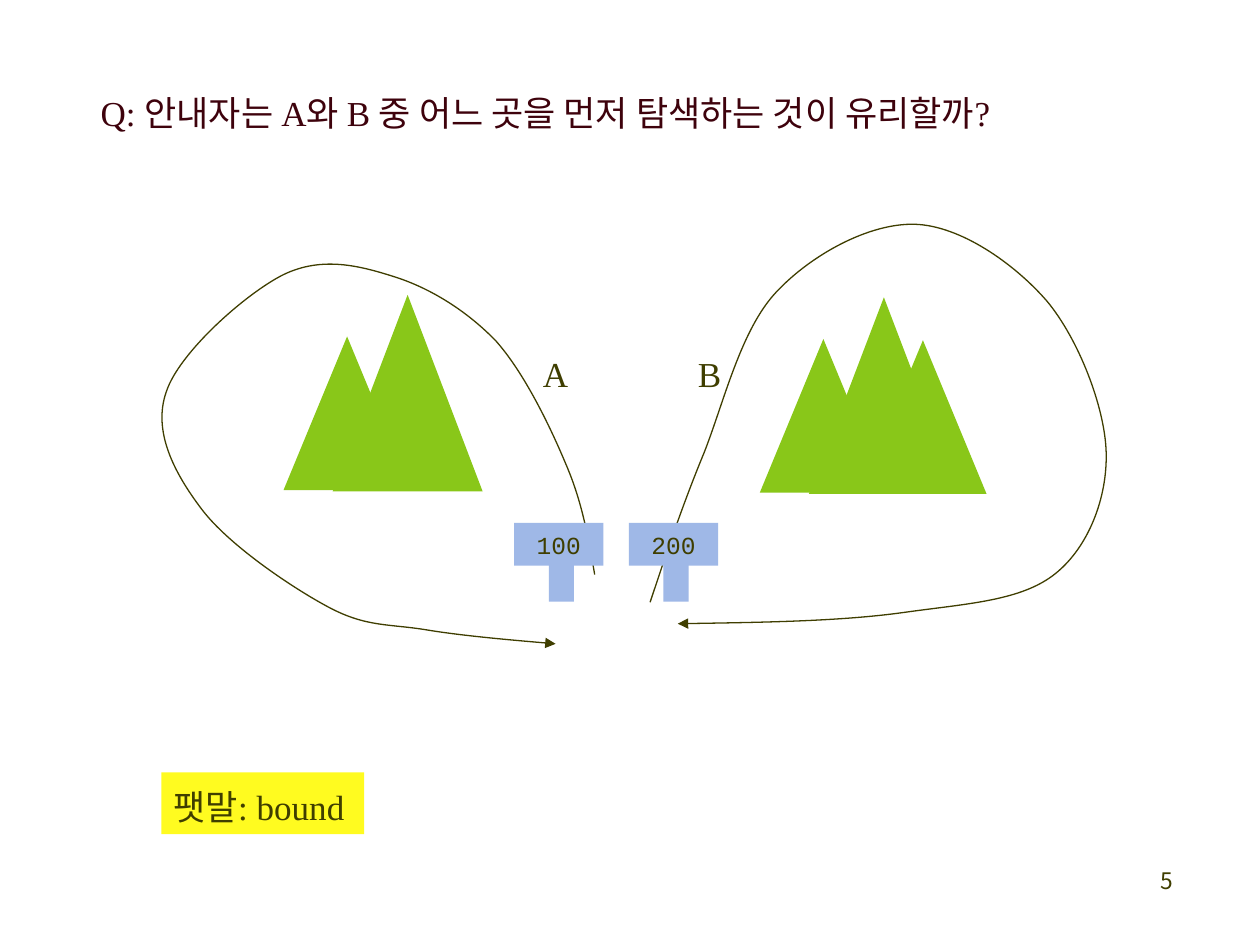
from lxml.etree import SubElement
from pptx import Presentation
from pptx.dml.color import RGBColor
from pptx.enum.shapes import MSO_SHAPE as SHAPE
from pptx.enum.text import MSO_ANCHOR as ANCHOR, PP_ALIGN as ALIGN
from pptx.oxml.ns import qn
from pptx.util import Inches, Pt

OLIVE = RGBColor(0x3F, 0x3E, 0x00)
MAROON = RGBColor(0x3E, 0x02, 0x0C)
GREEN = RGBColor(0x89, 0xC7, 0x19)
BLUE = RGBColor(0x9F, 0xB8, 0xE7)
YELLOW = RGBColor(0xFF, 0xFB, 0x20)

BODY = {"name": "Times New Roman", "size": Pt(20)}
SIGN = {"name": "Courier New", "size": Pt(14)}
NUMBER = {"name": "Noto Sans CJK KR", "size": Pt(13)}
EAST_ASIAN = "Noto Sans CJK KR"

TRAIL_A = [
    (4.72, 4.56),
    (4.67, 4.27), (4.62, 3.98), (4.49, 3.68),
    (4.36, 3.37), (4.16, 2.96), (3.94, 2.71),
    (3.71, 2.47), (3.42, 2.29), (3.14, 2.2),
    (2.86, 2.11), (2.56, 2.03), (2.25, 2.18),
    (1.95, 2.33), (1.42, 2.8), (1.32, 3.11),
    (1.21, 3.42), (1.38, 3.75), (1.6, 4.04),
    (1.81, 4.32), (2.31, 4.66), (2.61, 4.82),
    (2.91, 4.98), (3.09, 4.95), (3.39, 5),
    (3.69, 5.05), (4.41, 5.11), (4.41, 5.11),
]
TRAIL_B = [
    (5.16, 4.78),
    (5.29, 4.39), (5.42, 4), (5.59, 3.59),
    (5.75, 3.18), (5.88, 2.62), (6.16, 2.32),
    (6.44, 2.02), (6.9, 1.77), (7.26, 1.78),
    (7.62, 1.79), (8.05, 2.09), (8.31, 2.39),
    (8.56, 2.69), (8.77, 3.23), (8.78, 3.59),
    (8.79, 3.95), (8.64, 4.34), (8.38, 4.55),
    (8.11, 4.77), (7.68, 4.79), (7.18, 4.86),
    (6.68, 4.93), (6.03, 4.94), (5.38, 4.95),
]


class Deck:
    def __init__(self, width, height):
        self.prs = Presentation()
        self.prs.slide_width = Inches(width)
        self.prs.slide_height = Inches(height)
        self.s = self.prs.slides.add_slide(self.prs.slide_layouts[6])

    def label(self, sp, text, font, color=OLIVE, wrap=True, anchor=ANCHOR.TOP, **fmt):
        tf = sp.text_frame
        tf.word_wrap = wrap
        tf.vertical_anchor = anchor
        p = tf.paragraphs[0]
        for key, value in {"alignment": ALIGN.LEFT, **fmt}.items():
            setattr(p, key, value)
        r = p.add_run()
        r.text = text
        for key, value in font.items():
            setattr(r.font, key, value)
        r.font.color.rgb = color
        SubElement(r._r.get_or_add_rPr(), qn("a:ea")).set("typeface", EAST_ASIAN)

    def text(self, box, text, font, **fmt):
        sp = self.s.shapes.add_textbox(*map(Inches, box))
        self.label(sp, text, font, **fmt)

    def shape(self, kind, box, color, parent=None):
        shapes = (parent or self.s).shapes
        sp = shapes.add_shape(kind, *map(Inches, box))
        sp.shadow.inherit = False
        sp.fill.solid()
        sp.fill.fore_color.rgb = color
        sp.line.fill.background()
        return sp

    def trail(self, points):
        start, *rest = [(Inches(x), Inches(y)) for x, y in points]
        builder = self.s.shapes.build_freeform(*start)
        builder.add_line_segments(rest, close=False)
        sp = builder.convert_to_shape()
        sp.shadow.inherit = False
        sp.fill.background()
        sp.line.color.rgb = OLIVE
        sp.line.width = Pt(0.75)
        SubElement(sp.get_or_add_ln(), qn("a:tailEnd")).set("type", "triangle")
        outline = next(sp.element.iter(qn("a:path")))
        segments = outline.findall(qn("a:lnTo"))
        for i in range(0, len(segments), 3):
            curve = SubElement(outline, qn("a:cubicBezTo"))
            for segment in segments[i:i + 3]:
                curve.append(segment[0])
                outline.remove(segment)

    def sign(self, left, top, text):
        group = self.s.shapes.add_group_shape()
        board = self.shape(SHAPE.RECTANGLE, (left, top, 0.71, 0.34), BLUE, group)
        self.label(board, text, SIGN, anchor=ANCHOR.MIDDLE, alignment=ALIGN.CENTER)
        post = self.shape(SHAPE.RECTANGLE, (left + 0.21, top + 0.36, 0.33, 0.2), BLUE, group)
        post.rotation = 90


def main():
    deck = Deck(10, 7.5)
    deck.text((7.33, 6.83, 2.08, 0.5), "5", NUMBER, alignment=ALIGN.RIGHT)

    small, tall = (1.01, 1.22), (1.19, 1.56)
    peaks = [(2.25, 2.67, small), (2.64, 2.34, tall),
             (6.03, 2.69, small), (6.42, 2.36, tall), (6.82, 2.7, small)]
    for left, top, size in peaks:
        deck.shape(SHAPE.ISOSCELES_TRIANGLE, (left, top, *size), GREEN)

    for points in (TRAIL_A, TRAIL_B):
        deck.trail(points)
    for left, value in ((4.08, "100"), (4.99, "200")):
        deck.sign(left, 4.15, value)

    deck.text((0.7, 0.51, 8.91, 0.61), "Q: 안내자는 A와 B 중 어느 곳을 먼저 탐색하는 것이 유리할까?",
              BODY, color=MAROON, line_spacing=1.5)
    for left, name in ((4.21, "A"), (5.44, "B")):
        deck.text((left, 2.69, 0.4, 0.46), name, BODY, wrap=False, line_spacing=Pt(28))
    note = deck.shape(SHAPE.RECTANGLE, (1.28, 6.13, 1.61, 0.49), YELLOW)
    deck.label(note, "팻말: bound", BODY, line_spacing=Pt(28))

    deck.prs.save("out.pptx")


if __name__ == "__main__":
    main()
